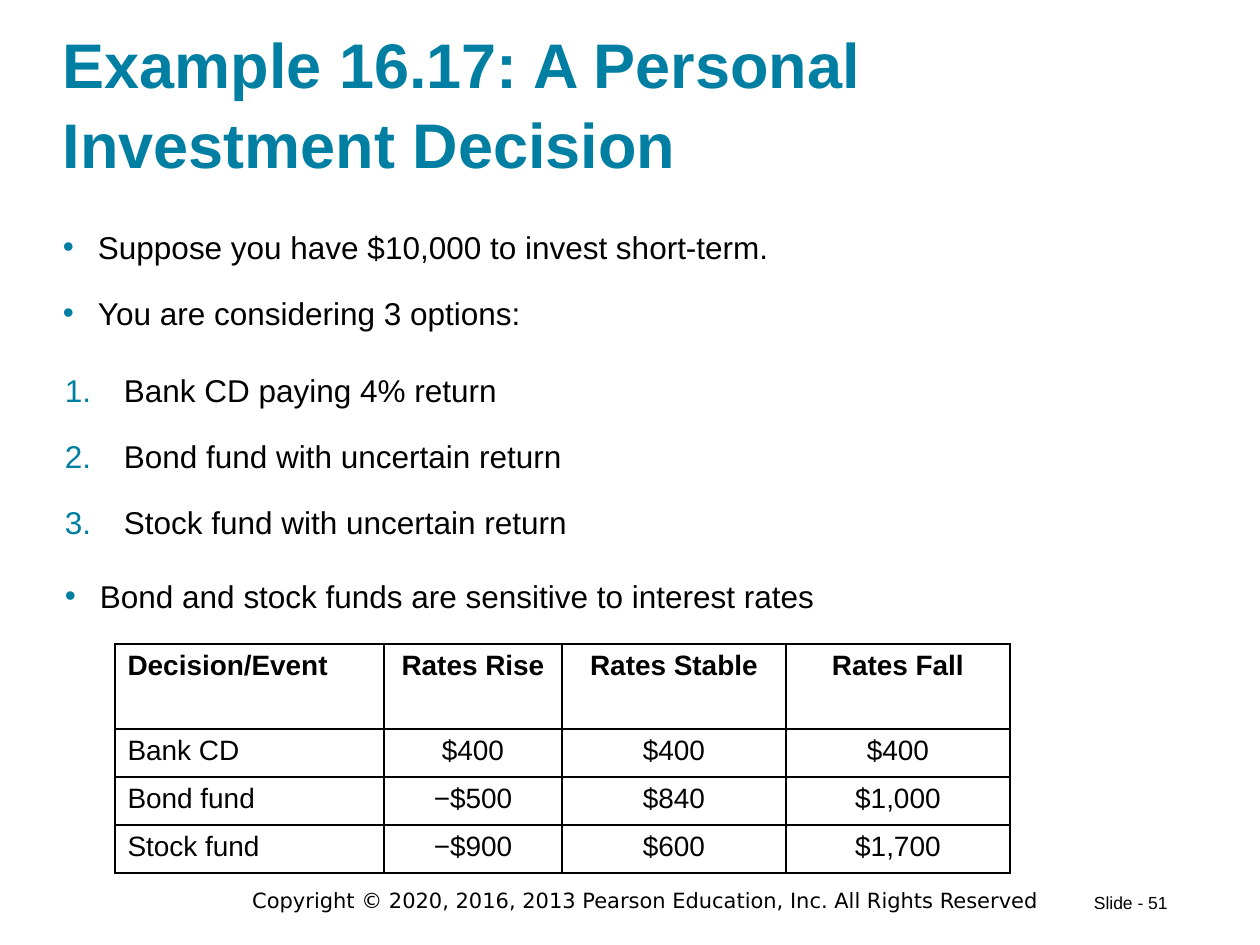
"""Build the personal investment decision slide."""
from lxml.etree import SubElement
from pptx import Presentation
from pptx.dml.color import RGBColor
from pptx.enum.text import MSO_ANCHOR, PP_ALIGN
from pptx.oxml.ns import qn
from pptx.util import Emu, Pt

COLORS = {"accent": "007FA3", "text": "000000", "paper": "FFFFFF"}
TITLE = "Example 16.17: A Personal Investment Decision"
FOOTERS = [
    ("Copyright © 2020, 2016, 2013 Pearson Education, Inc. All Rights Reserved",
     (231, 882, 829, 38), dict(size=12, font="DejaVu Sans", align=PP_ALIGN.CENTER)),
    ("Slide - 51", (1081, 886, 102, 34), dict(size=10)),
]
LISTS = [
    (["Suppose you have $10,000 to invest short-term.",
      "You are considering 3 options:"],
     (63, 226, 1082, 134), dict(bullet="•", indent=35)),
    (["Bank CD paying 4% return",
      "Bond fund with uncertain return",
      "Stock fund with uncertain return"],
     (65, 369, 1080, 197), dict(bullet="1.", indent=59)),
    (["Bond and stock funds are sensitive to interest rates"],
     (65, 575, 998, 40), dict(bullet="•", indent=35, anchor=MSO_ANCHOR.BOTTOM)),
]
PAYOFFS = [
    ["Decision/Event", "Rates Rise", "Rates Stable", "Rates Fall"],
    ["Bank CD", "$400", "$400", "$400"],
    ["Bond fund", "−$500", "$840", "$1,000"],
    ["Stock fund", "−$900", "$600", "$1,700"],
]
TABLE_AT = (115, 644)
COLUMN_WIDTHS = [269, 178, 224, 224]
ROW_HEIGHTS = [85, 48, 48, 48]


def px(n):
    return Emu(round(n * 914400 / 126))


def rgb(name):
    return RGBColor.from_string(COLORS[name])


def add_bullet(p, bullet, indent):
    pPr = p._p.get_or_add_pPr()
    pPr.set("marL", str(px(indent)))
    pPr.set("indent", str(-px(indent)))
    SubElement(SubElement(pPr, qn("a:buClr")), qn("a:srgbClr"), val=COLORS["accent"])
    SubElement(pPr, qn("a:buFont"), typeface="Arial")
    if bullet == "1.":
        SubElement(pPr, qn("a:buAutoNum"), type="arabicPeriod")
    else:
        SubElement(pPr, qn("a:buChar"), char=bullet)


def write(tf, lines, size=18, font="Arial", color="text", bold=False,
          align=PP_ALIGN.LEFT, spacing=1.0, before=0, bullet=None, indent=0):
    for i, line in enumerate(lines):
        p = tf.add_paragraph() if i else tf.paragraphs[0]
        if bullet:
            add_bullet(p, bullet, indent)
        p.alignment = align
        p.line_spacing = spacing
        p.space_before = Pt(before if i else 0)
        r = p.add_run()
        r.text = line
        r.font.size, r.font.name, r.font.bold = Pt(size), font, bold
        r.font.color.rgb = rgb(color)


def add_text(s, lines, box, insets=(0, 0, 0, 0), anchor=MSO_ANCHOR.TOP, **fmt):
    tf = s.shapes.add_textbox(*map(px, box)).text_frame
    tf.word_wrap = True
    tf.vertical_anchor = anchor
    tf.margin_left, tf.margin_top, tf.margin_right, tf.margin_bottom = map(px, insets)
    write(tf, lines, **fmt)


def add_borders(cell):
    tcPr = cell._tc.get_or_add_tcPr()
    for i, side in enumerate(("lnL", "lnR", "lnT", "lnB")):
        ln = tcPr.makeelement(qn(f"a:{side}"), {"w": str(Pt(1))})
        fill = SubElement(ln, qn("a:solidFill"))
        SubElement(fill, qn("a:srgbClr"), val=COLORS["text"])
        tcPr.insert(i, ln)


def add_payoffs(s):
    size = (sum(COLUMN_WIDTHS), sum(ROW_HEIGHTS))
    table = s.shapes.add_table(len(PAYOFFS), len(COLUMN_WIDTHS),
                               *map(px, TABLE_AT + size)).table
    for column, width in zip(table.columns, COLUMN_WIDTHS):
        column.width = px(width)
    for row, height in zip(table.rows, ROW_HEIGHTS):
        row.height = px(height)
    for i, values in enumerate(PAYOFFS):
        for j, value in enumerate(values):
            cell = table.cell(i, j)
            cell.fill.solid()
            cell.fill.fore_color.rgb = rgb("paper")
            add_borders(cell)
            write(cell.text_frame, [value], size=16, bold=i == 0,
                  align=PP_ALIGN.CENTER if j else PP_ALIGN.LEFT)


def main():
    prs = Presentation()
    prs.slide_width, prs.slide_height = px(1260), px(945)
    s = prs.slides.add_slide(prs.slide_layouts[6])
    for text, box, fmt in FOOTERS:
        add_text(s, [text], box, insets=(13, 6, 13, 6), **fmt)
    add_text(s, [TITLE], (63, 30, 1134, 151), insets=(0, 13, 0, 0),
             anchor=MSO_ANCHOR.BOTTOM, size=36, color="accent", bold=True, spacing=1.05)
    for lines, box, fmt in LISTS:
        add_text(s, lines, box, spacing=1.05, before=15, **fmt)
    add_payoffs(s)
    prs.save("out.pptx")


if __name__ == "__main__":
    main()
